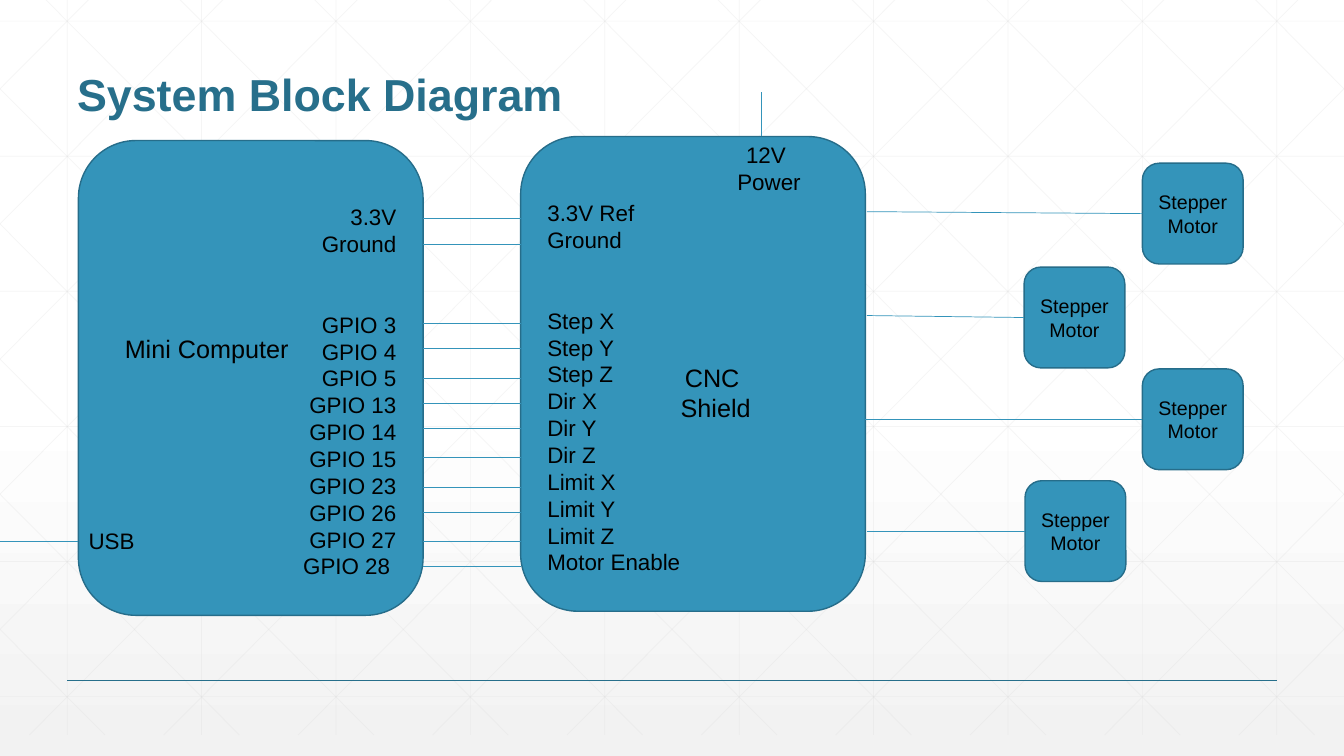
from lxml.etree import SubElement
from pptx import Presentation
from pptx.dml.color import RGBColor
from pptx.enum.shapes import MSO_CONNECTOR, MSO_SHAPE
from pptx.enum.text import MSO_ANCHOR, PP_ALIGN
from pptx.oxml import parse_xml
from pptx.oxml.ns import nsdecls, qn
from pptx.util import Pt

TITLE = "System Block Diagram"
# computer pin, shield pin, height of the wire between them
POWER_PINS = [("3.3V", "3.3V Ref", 156.2), ("Ground", "Ground", 174.2)]
SIGNAL_PINS = [
    ("GPIO 3", "Step X", 231.1), ("GPIO 4", "Step Y", 249.1),
    ("GPIO 5", "Step Z", 270), ("GPIO 13", "Dir X", 288),
    ("GPIO 14", "Dir Y", 306), ("GPIO 15", "Dir Z", 326.9),
    ("GPIO 23", "Limit X", 347.8), ("GPIO 26", "Limit Y", 365.8),
    ("GPIO 27", "Limit Z", 387), ("GPIO 28 ", "Motor Enable", 404.9),
]
# lines, left, top, width, height, size, alignment
LABELS = [
    (["USB"], 56.2, 373, 51.8, 26.6, 16, PP_ALIGN.LEFT),
    (["Mini Computer"], 82.1, 234.7, 131.8, 29, 18, PP_ALIGN.LEFT),
    (["CNC ", "Shield"], 478.8, 255, 64.8, 51, 18, PP_ALIGN.CENTER),
    (["12V ", "Power"], 519.1, 97.2, 60.5, 46, 16, PP_ALIGN.CENTER),
]
# motor left, motor top, start of its wire (x, y)
MOTORS = [
    (732.2, 343.4, 619.2, 379.4), (816, 263.5, 618, 299.5),
    (731.5, 190.8, 619.2, 225.4), (816, 116.6, 619.2, 151.2),
]
MOTOR_TEXT = "Stepper Motor"
MOTOR_SIZE = 72

WIDTH, HEIGHT = 960, 540
COMPUTER_LEFT, COMPUTER_TOP = 56, 100.4
SHIELD_LEFT, SHIELD_TOP = 371.9, 97.5
BOARD_WIDTH, BOARD_HEIGHT = 246.2, 339.1
PIN_ROW = 19.2
GRID_TOP, GRID_BOTTOM, GRID_STEP, DIAGONAL_RUN = -15, 525, 96, 537

BLUE = RGBColor(0x34, 0x94, 0xBA)
OUTLINE = RGBColor(0x26, 0x6D, 0x8A)
HEADING = RGBColor(0x27, 0x6F, 0x8B)
GRID = RGBColor(0xD9, 0xD9, 0xD9)
BLACK = RGBColor(0, 0, 0)
WHITE = RGBColor(0xFF, 0xFF, 0xFF)
PALE_GREY = RGBColor(0xF2, 0xF2, 0xF2)

presentation = Presentation()
presentation.slide_width, presentation.slide_height = Pt(WIDTH), Pt(HEIGHT)
slide = presentation.slides.add_slide(presentation.slide_layouts[6])


def paint_background():
    fill = slide.background.fill
    fill.gradient()
    fill.gradient_angle = 270
    first, last = fill.gradient_stops
    first.position, last.position = 0, 1
    first.color.rgb, last.color.rgb = WHITE, PALE_GREY
    slide.element.find(".//" + qn("a:gsLst")).insert(1, parse_xml(
        f'<a:gs {nsdecls("a")} pos="53000"><a:srgbClr val="{WHITE}"/></a:gs>'))


def add_line(x1, y1, x2, y2, color=BLUE, weight=0.5, alpha=None):
    line = slide.shapes.add_connector(
        MSO_CONNECTOR.STRAIGHT, Pt(x1), Pt(y1), Pt(x2), Pt(y2))
    line.line.color.rgb = color
    line.line.width = Pt(weight)
    properties = line.element.spPr
    if alpha:
        shade = properties.find(".//" + qn("a:srgbClr"))
        SubElement(shade, qn("a:alpha")).set("val", str(alpha * 1000))
    SubElement(properties, qn("a:effectLst"))
    return line


def add_grid():
    def grid_line(*ends):
        add_line(*ends, color=GRID, alpha=25)

    for column in range(10):
        x = 48 + column * GRID_STEP
        grid_line(x, GRID_TOP, x, GRID_BOTTOM)
    for row in range(6):
        y = 15.1 + row * 96.5
        grid_line(0, y, WIDTH, y)
    slope = (GRID_BOTTOM - GRID_TOP) / DIAGONAL_RUN
    for index in range(-5, 10):
        start = 18 + index * GRID_STEP
        x1, x2 = max(start, 0), min(start + DIAGONAL_RUN, WIDTH)
        y1, y2 = (GRID_TOP + (x - start) * slope for x in (x1, x2))
        grid_line(x1, y1, x2, y2)
        grid_line(WIDTH - x1, y1, WIDTH - x2, y2)


def write(frame, lines, size, alignment, color=BLACK, bold=False):
    """Fill a text frame, one paragraph per line, and return the paragraphs."""
    for index, line in enumerate(lines):
        paragraph = frame.add_paragraph() if index else frame.paragraphs[0]
        paragraph.text = line
        paragraph.alignment = alignment
        font = paragraph.font
        font.name, font.size, font.bold = "Arial", Pt(size), bold
        font.color.rgb = color
    return frame.paragraphs


def add_block(left, top, width, height):
    block = slide.shapes.add_shape(
        MSO_SHAPE.ROUNDED_RECTANGLE, Pt(left), Pt(top), Pt(width), Pt(height))
    block.shadow.inherit = False
    block.fill.solid()
    block.fill.fore_color.rgb = BLUE
    block.line.color.rgb = OUTLINE
    block.line.width = Pt(1)
    block.text_frame.vertical_anchor = MSO_ANCHOR.MIDDLE
    return block


def add_board(left, top, pins, alignment):
    frame = add_block(left, top, BOARD_WIDTH, BOARD_HEIGHT).text_frame
    frame.margin_top = Pt(3.6 + PIN_ROW)
    rows = write(frame, pins, 16, alignment)
    rows[len(POWER_PINS)].space_before = Pt(2 * PIN_ROW)


paint_background()
add_grid()
add_line(48, 486, 912, 486, HEADING, 1)

title = slide.shapes.add_textbox(Pt(48), Pt(18), Pt(864), Pt(72)).text_frame
title.word_wrap = True
title.vertical_anchor = MSO_ANCHOR.BOTTOM
write(title, [TITLE], 32, PP_ALIGN.LEFT, HEADING, True)[0].line_spacing = 0.9

computer_pins, shield_pins, wire_heights = zip(*POWER_PINS, *SIGNAL_PINS)
add_board(COMPUTER_LEFT, COMPUTER_TOP, computer_pins, PP_ALIGN.RIGHT)
add_board(SHIELD_LEFT, SHIELD_TOP, shield_pins, PP_ALIGN.LEFT)
for y in wire_heights:
    add_line(COMPUTER_LEFT + BOARD_WIDTH, y, SHIELD_LEFT, y)
add_line(0, 386.6, COMPUTER_LEFT, 386.6)
add_line(543.6, SHIELD_TOP, 543.6, 66)

for left, top, wire_x, wire_y in MOTORS:
    motor = add_block(left, top, MOTOR_SIZE, MOTOR_SIZE)
    write(motor.text_frame, [MOTOR_TEXT], 14, PP_ALIGN.CENTER)
    wire = add_line(wire_x, wire_y, left, top + MOTOR_SIZE / 2)
    wire.end_connect(motor, 1)

for lines, left, top, width, height, size, alignment in LABELS:
    label = slide.shapes.add_textbox(Pt(left), Pt(top), Pt(width), Pt(height))
    label.text_frame.word_wrap = False
    write(label.text_frame, lines, size, alignment)

presentation.save("out.pptx")
